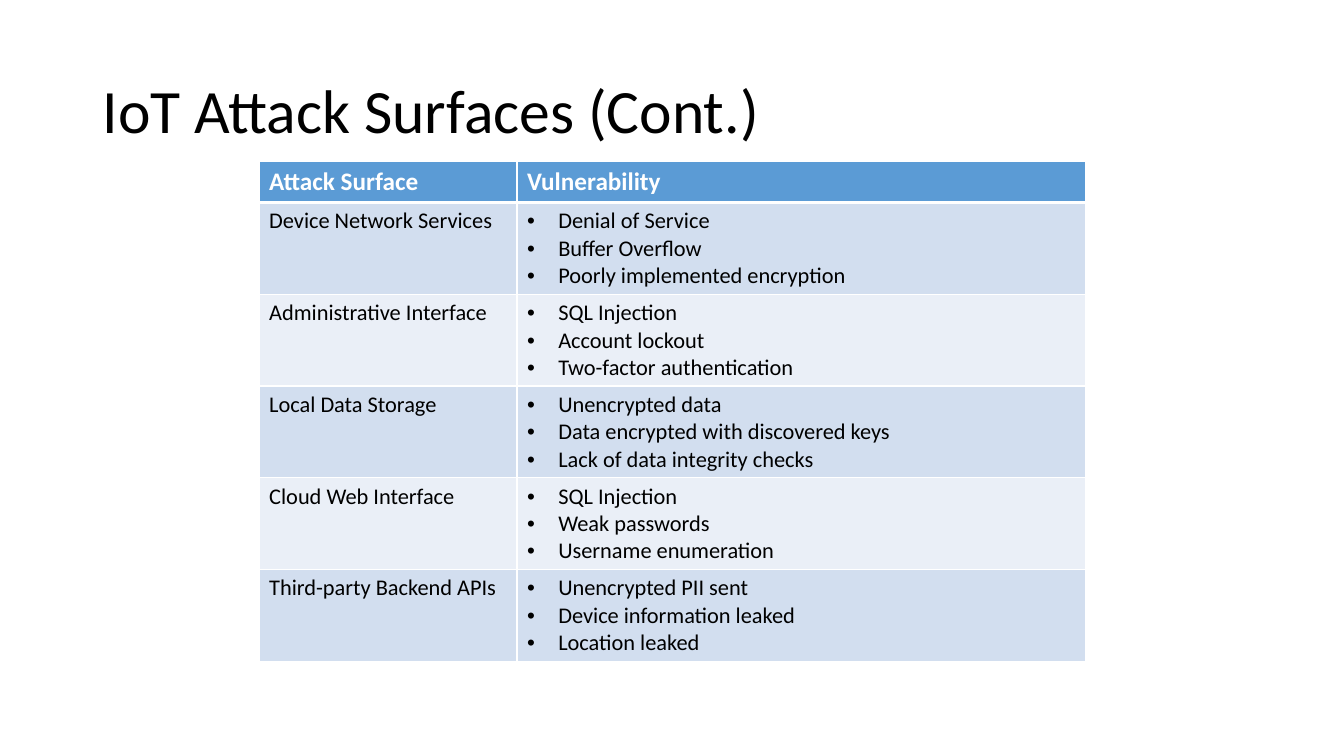
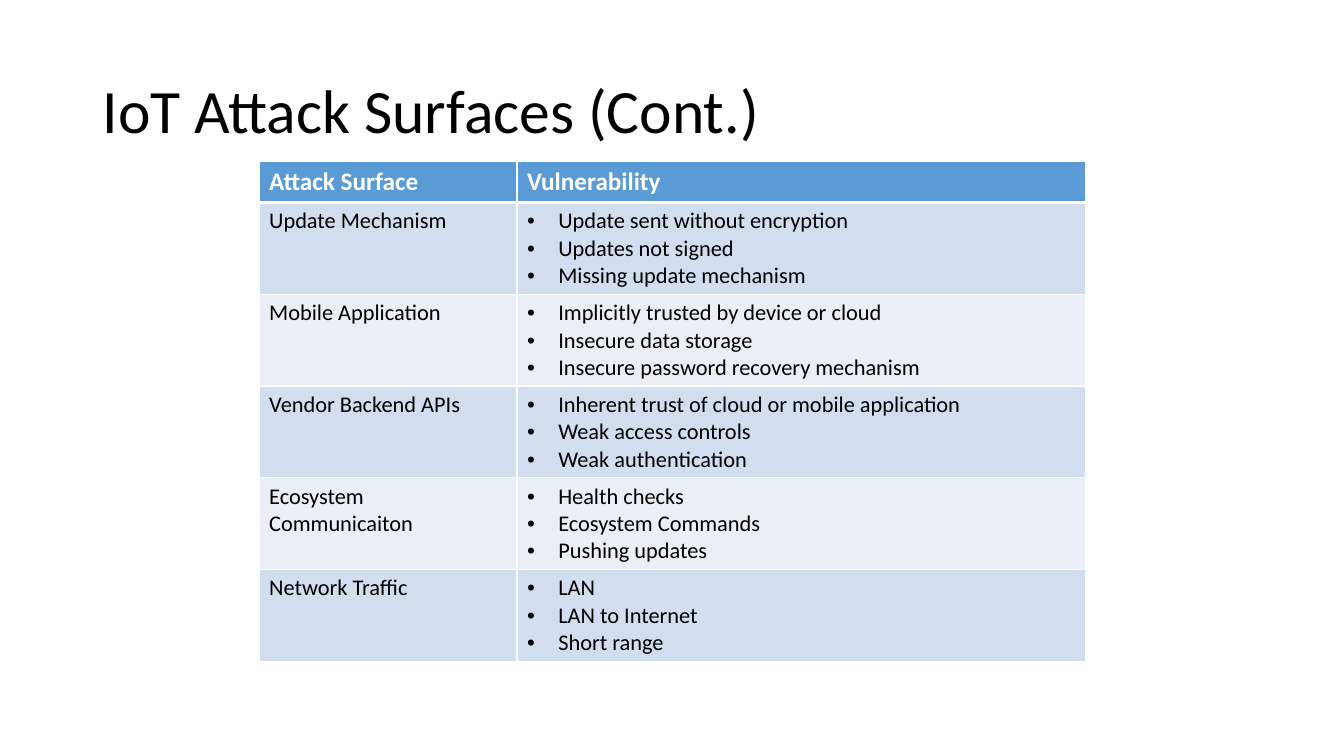
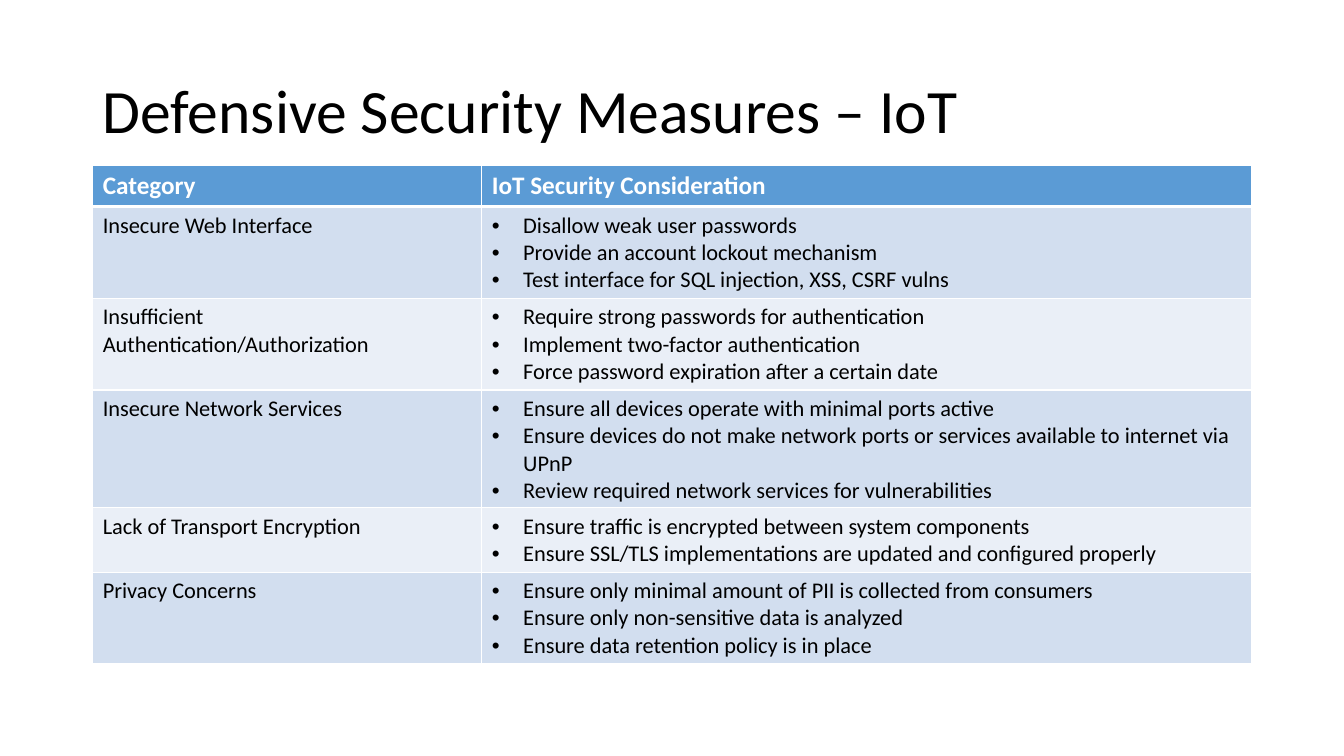
from lxml import etree
from pptx import Presentation
from pptx.dml.color import RGBColor
from pptx.enum.text import MSO_ANCHOR
from pptx.oxml.ns import qn
from pptx.util import Inches, Pt

MIDDLE = MSO_ANCHOR.MIDDLE
BLACK = RGBColor(0x00, 0x00, 0x00)
WHITE = RGBColor(0xFF, 0xFF, 0xFF)
BLUE = RGBColor(0x5B, 0x9B, 0xD5)
BANDS = (RGBColor(0xD2, 0xDE, 0xEF), RGBColor(0xEA, 0xEF, 0xF7))
FACE = "Calibri"
WIDE, HIGH = Inches(13.33), Inches(7.5)
HEAD, LINE, PAD, INDENT = Inches(0.41), Inches(0.27), Inches(0.1), Inches(0.31)

TITLE_BOX = (6.9, 5.33, 86.25, 19.33)
NARROW = (19.28, 21.33, 61.5)
BROAD = (6.9, 21.87, 86.25)

SURFACES = ("Attack Surface", "Vulnerability")
SLIDES = [
    ("IoT Attack Surfaces (Cont.)", NARROW, 31.2, SURFACES, [
        ("Device Network Services",
         ["Denial of Service", "Buffer Overflow", "Poorly implemented encryption"]),
        ("Administrative Interface",
         ["SQL Injection", "Account lockout", "Two-factor authentication"]),
        ("Local Data Storage",
         ["Unencrypted data", "Data encrypted with discovered keys",
          "Lack of data integrity checks"]),
        ("Cloud Web Interface",
         ["SQL Injection", "Weak passwords", "Username enumeration"]),
        ("Third-party Backend APIs",
         ["Unencrypted PII sent", "Device information leaked", "Location leaked"]),
    ]),
    ("IoT Attack Surfaces (Cont.)", NARROW, 31.2, SURFACES, [
        ("Update Mechanism",
         ["Update sent without encryption", "Updates not signed",
          "Missing update mechanism"]),
        ("Mobile Application",
         ["Implicitly trusted by device or cloud", "Insecure data storage",
          "Insecure password recovery mechanism"]),
        ("Vendor Backend APIs",
         ["Inherent trust of cloud or mobile application", "Weak access controls",
          "Weak authentication"]),
        ("Ecosystem Communicaiton",
         ["Health checks", "Ecosystem Commands", "Pushing updates"]),
        ("Network Traffic", ["LAN", "LAN to Internet", "Short range"]),
    ]),
    ("Defensive Security Measures – IoT", BROAD, 33.57,
     ("Category", "IoT Security Consideration"), [
        ("Insecure Web Interface",
         ["Disallow weak user passwords", "Provide an account lockout mechanism",
          "Test interface for SQL injection, XSS, CSRF vulns"]),
        ("Insufficient Authentication/Authorization",
         ["Require strong passwords for authentication",
          "Implement two-factor authentication",
          "Force password expiration after a certain date"]),
        ("Insecure Network Services",
         ["Ensure all devices operate with minimal ports active",
          "Ensure devices do not make network ports or services available"
          " to internet via UPnP",
          "Review required network services for vulnerabilities"]),
        ("Lack of Transport Encryption",
         ["Ensure traffic is encrypted between system components",
          "Ensure SSL/TLS implementations are updated and configured properly"]),
        ("Privacy Concerns",
         ["Ensure only minimal amount of PII is collected from consumers",
          "Ensure only non-sensitive data is analyzed",
          "Ensure data retention policy is in place"]),
    ]),
]


def share(part, whole):
    """Return a percentage of a length."""
    return round(whole * part / 100)


def style(para, size, color, bold=False):
    """Set the font of a paragraph."""
    font = para.font
    font.name, font.size, font.bold = FACE, Pt(size), bold
    font.color.rgb = color


def bullet(para):
    """Give a paragraph a round bullet and a hanging indent."""
    props = para._p.get_or_add_pPr()
    props.set("marL", str(INDENT))
    props.set("indent", str(-INDENT))
    etree.SubElement(props, qn("a:buFont")).set("typeface", "Arial")
    etree.SubElement(props, qn("a:buChar")).set("char", "•")


def border(cell, top, bottom):
    """Draw white lines round a cell."""
    props = cell._tc.get_or_add_tcPr()
    for side, width in (("L", 1), ("R", 1), ("T", top), ("B", bottom)):
        line = etree.SubElement(props, qn("a:ln" + side), w=str(Pt(width)))
        fill = etree.SubElement(line, qn("a:solidFill"))
        etree.SubElement(fill, qn("a:srgbClr")).set("val", str(WHITE))


def fill_cell(cell, row, lines, listed):
    """Write the lines of a cell in the look of its row."""
    head = row == 0
    border(cell, 3 if row == 1 else 1, 3 if head else 1)
    cell.fill.solid()
    cell.fill.fore_color.rgb = BLUE if head else BANDS[(row - 1) % 2]
    frame = cell.text_frame
    for i, text in enumerate(lines):
        para = frame.add_paragraph() if i else frame.paragraphs[0]
        para.text = text
        if listed:
            bullet(para)
        style(para, 18 if head else 16, WHITE if head else BLACK, head)


def add_title(slide, text, box):
    """Place the slide title in its box."""
    x, y, w, h = box
    frame = slide.shapes.add_textbox(
        share(x, WIDE), share(y, HIGH), share(w, WIDE), share(h, HIGH)).text_frame
    frame.word_wrap = True
    frame.vertical_anchor = MIDDLE
    para = frame.paragraphs[0]
    para.text = text
    para.line_spacing = 0.9
    style(para, 44, BLACK)


def add_grid(slide, box, split, heads, rows):
    """Place a two-column table with banded rows and bulleted details."""
    x, y, w = box
    width = share(w, WIDE)
    highs = [HEAD] + [PAD + LINE * len(items) for _, items in rows]
    table = slide.shapes.add_table(
        len(highs), 2, share(x, WIDE), share(y, HIGH), width, sum(highs)).table
    table.columns[0].width = share(split, width)
    table.columns[1].width = width - share(split, width)
    for r, (high, (name, items)) in enumerate(
            zip(highs, [(heads[0], [heads[1]])] + rows)):
        table.rows[r].height = high
        fill_cell(table.cell(r, 0), r, [name], False)
        fill_cell(table.cell(r, 1), r, items, r > 0)


def main():
    """Build and save the deck."""
    deck = Presentation()
    deck.slide_width, deck.slide_height = WIDE, HIGH
    for title, box, split, heads, rows in SLIDES:
        slide = deck.slides.add_slide(deck.slide_layouts[6])
        add_title(slide, title, TITLE_BOX)
        add_grid(slide, box, split, heads, rows)
    deck.save("out.pptx")


if __name__ == "__main__":
    main()
